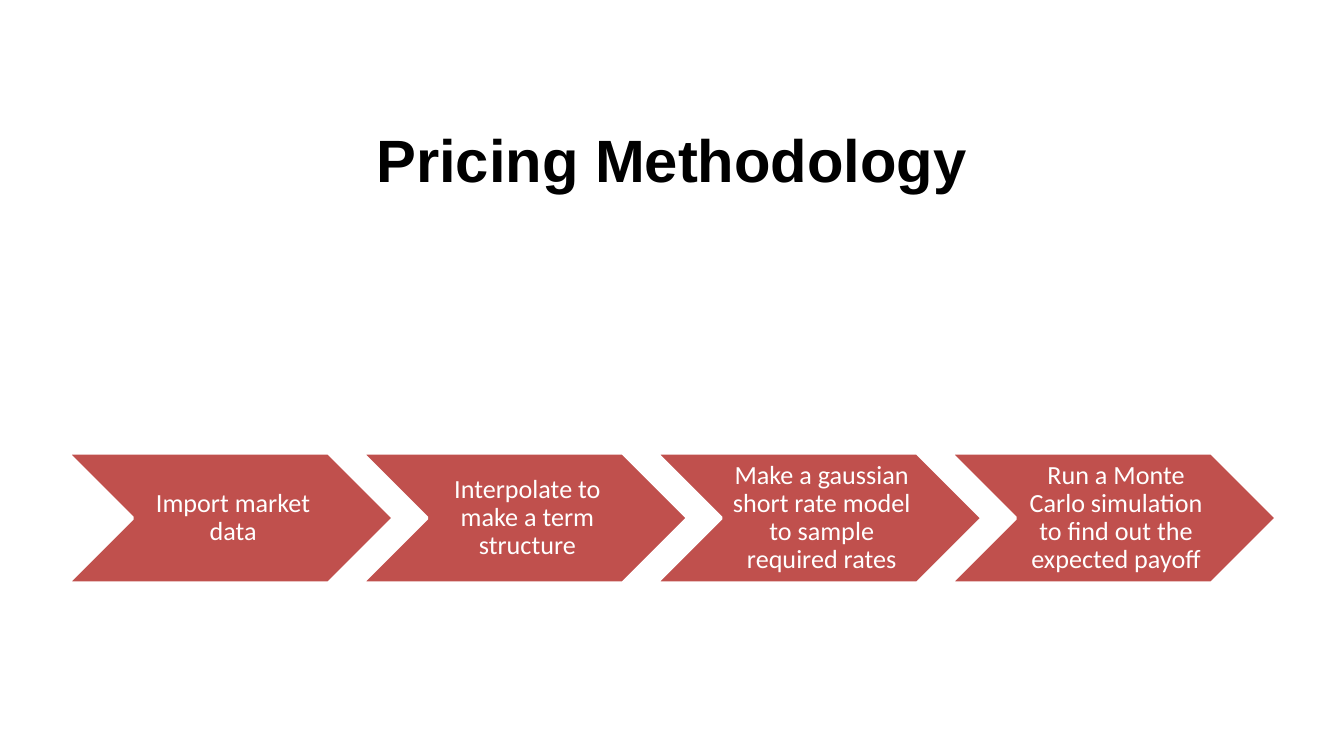
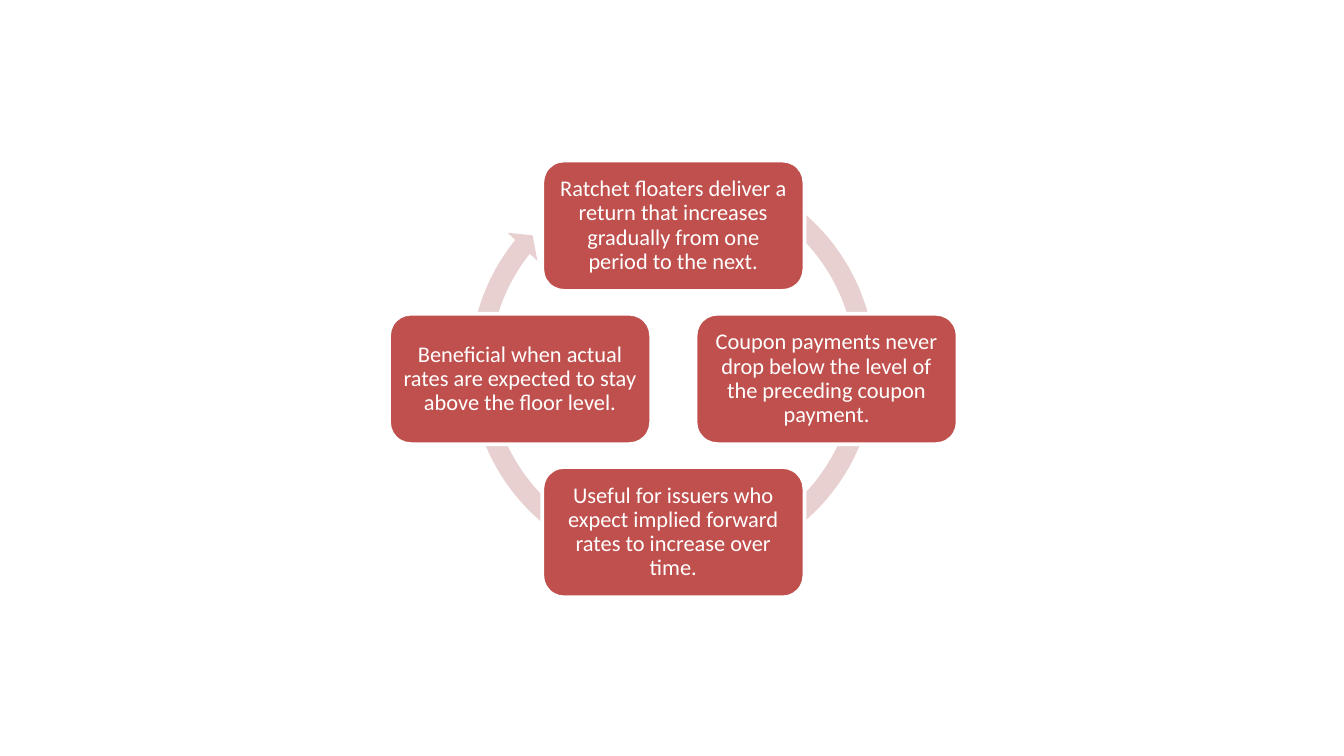
from dataclasses import dataclass

from pptx import Presentation
from pptx.dml.color import RGBColor
from pptx.enum.shapes import MSO_SHAPE as Preset
from pptx.enum.text import MSO_ANCHOR as Anchor, MSO_AUTO_SIZE as AutoSize, PP_ALIGN as Align
from pptx.util import Inches, Pt


@dataclass(frozen=True)
class Theme:
    red: RGBColor = RGBColor.from_string("C0504D")
    pale_red: RGBColor = RGBColor.from_string("E8D0D0")
    white: RGBColor = RGBColor.from_string("FFFFFF")
    black: RGBColor = RGBColor.from_string("000000")
    title_font: str = "Arial"
    label_font: str = "Calibri"
    title_size: int = 32
    step_size: int = 14
    card_size: int = 12
    outline: int = 2


class Deck:
    TITLE_ONLY, BLANK = 5, 6

    def __init__(self, theme):
        self.theme = theme
        self.presentation = Presentation()
        # Widescreen, 16:9
        self.presentation.slide_width = Inches(10)
        self.presentation.slide_height = Inches(10) * 9 // 16

    def new_slide(self, layout):
        self.slide = self.presentation.slides.add_slide(
            self.presentation.slide_layouts[layout])

    def new_diagram(self):
        """Start a group that receives the shapes that follow."""
        self.shapes = self.slide.shapes.add_group_shape().shapes

    def format_text(self, frame, text, font_name, size, color, bold=False):
        frame.text = text
        frame.word_wrap = True
        frame.auto_size = AutoSize.NONE
        frame.vertical_anchor = Anchor.MIDDLE
        paragraph = frame.paragraphs[0]
        paragraph.alignment = Align.CENTER
        font = paragraph.font
        font.name, font.size, font.bold = font_name, Pt(size), bold
        font.color.rgb = color
        return paragraph

    def title(self, text):
        title = self.slide.shapes.title
        title.left, title.top = Inches(0.5), Inches(0.74)
        title.width, title.height = Inches(9), Inches(0.88)
        self.format_text(title.text_frame, text, self.theme.title_font,
                         self.theme.title_size, self.theme.black, bold=True)

    def shape(self, preset, left, top, width, height, fill):
        shape = self.shapes.add_shape(
            preset, Inches(left), Inches(top), Inches(width), Inches(height))
        shape.shadow.inherit = False
        shape.fill.solid()
        shape.fill.fore_color.rgb = fill
        shape.line.fill.background()
        return shape

    def label_shape(self, preset, box, text, size, insets):
        """Red shape with a white outline and a centred white label."""
        shape = self.shape(preset, *box, self.theme.red)
        shape.line.color.rgb = self.theme.white
        shape.line.width = Pt(self.theme.outline)
        frame = shape.text_frame
        (frame.margin_left, frame.margin_top,
         frame.margin_right, frame.margin_bottom) = map(Inches, insets)
        paragraph = self.format_text(
            frame, text, self.theme.label_font, size, self.theme.white)
        paragraph.line_spacing = 0.9

    def process(self, steps):
        """Row of chevrons at an equal pitch."""
        self.new_diagram()
        for index, text in enumerate(steps):
            box = (0.5 + 2.19 * index, 3.37, 2.43, 0.97)
            self.label_shape(Preset.CHEVRON, box, text, self.theme.step_size,
                             (0.06, 0.02, 0.02, 0.02))

    def cycle(self, cards):
        """Four cards clockwise from the top, over a circular arrow."""
        self.new_diagram()
        arrow = self.shape(Preset.CIRCULAR_ARROW, 3.42, 1.15, 3.17, 3.17,
                           self.theme.pale_red)
        # Thickness, head angle, end angle, start angle, head width
        for index, value in enumerate((0.047, 2.73, 131.28, 178.32, 0.048)):
            arrow.adjustments[index] = value

        width, height = 1.95, 0.97
        center_x, center_y, radius = 5.01, 2.82, 1.14
        directions = ((0, -1), (1, 0), (0, 1), (-1, 0))
        for (across, down), text in zip(directions, cards):
            box = (center_x + radius * across - width / 2,
                   center_y + radius * down - height / 2, width, height)
            self.label_shape(Preset.ROUNDED_RECTANGLE, box, text,
                             self.theme.card_size, (0.05,) * 4)


def main():
    deck = Deck(Theme())

    # Pricing steps
    deck.new_slide(Deck.TITLE_ONLY)
    deck.title("Pricing Methodology")
    deck.process([
        "Import market data",
        "Interpolate to make a term structure",
        "Make a gaussian short rate model to sample required rates",
        "Run a Monte Carlo simulation to find out the expected payoff",
    ])

    # Ratchet floater features
    deck.new_slide(Deck.BLANK)
    deck.cycle([
        "Ratchet floaters deliver a return that increases gradually "
        "from one period to the next.",
        "Coupon payments never drop below the level of the preceding "
        "coupon payment.",
        "Useful for issuers who expect implied forward rates to increase "
        "over time.",
        "Beneficial when actual rates are expected to stay above the "
        "floor level.",
    ])

    deck.presentation.save("out.pptx")


if __name__ == "__main__":
    main()
